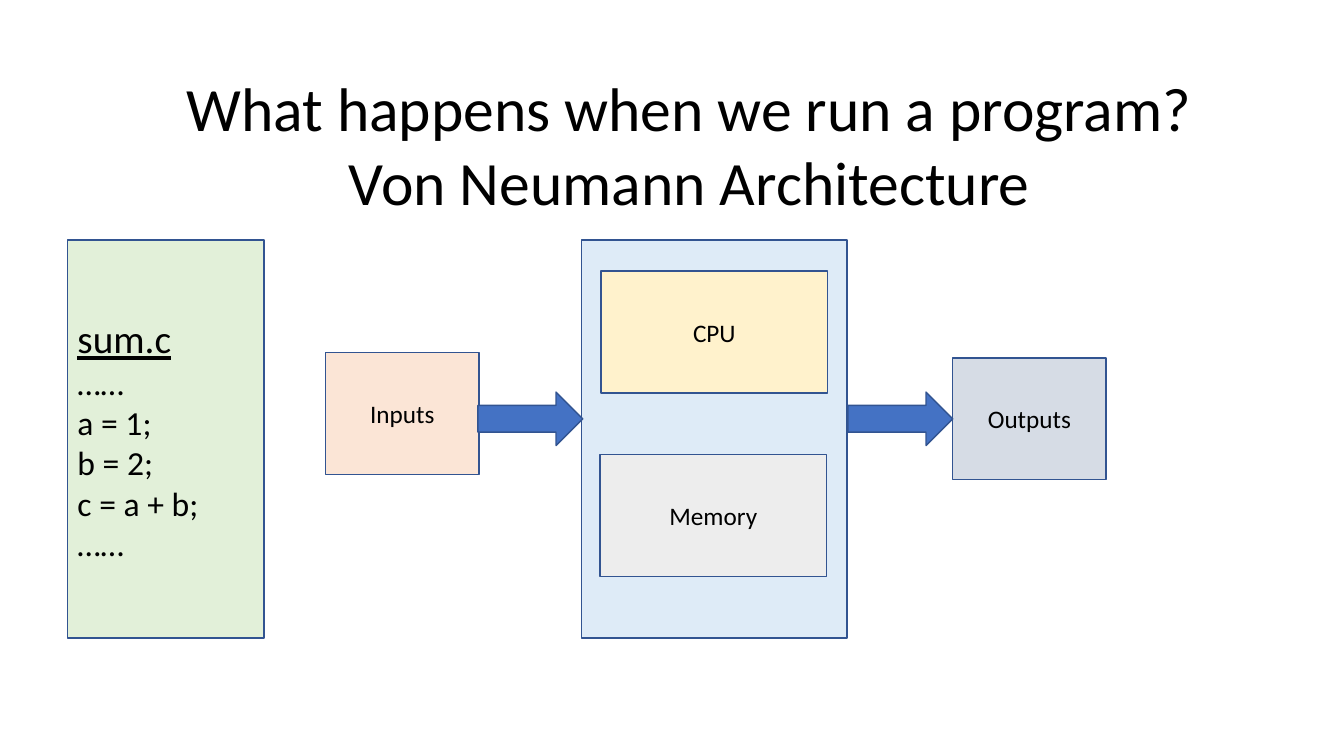
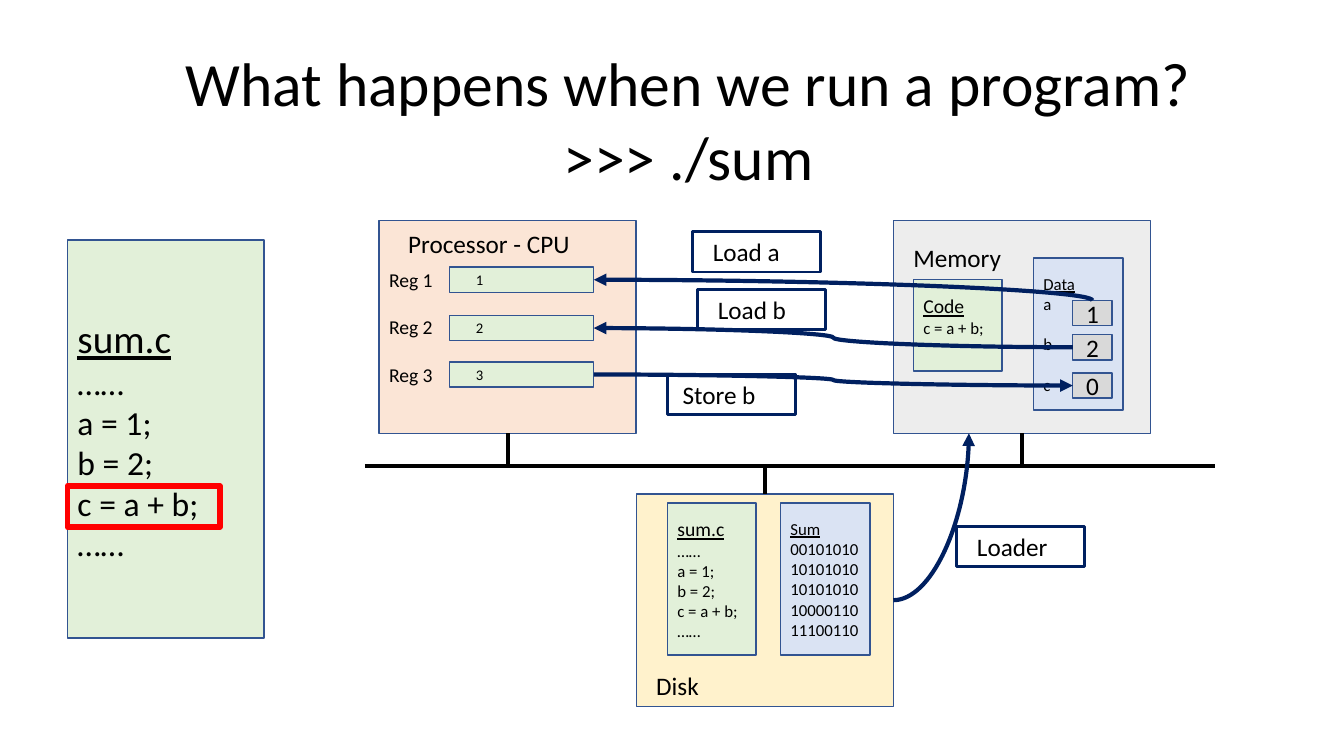
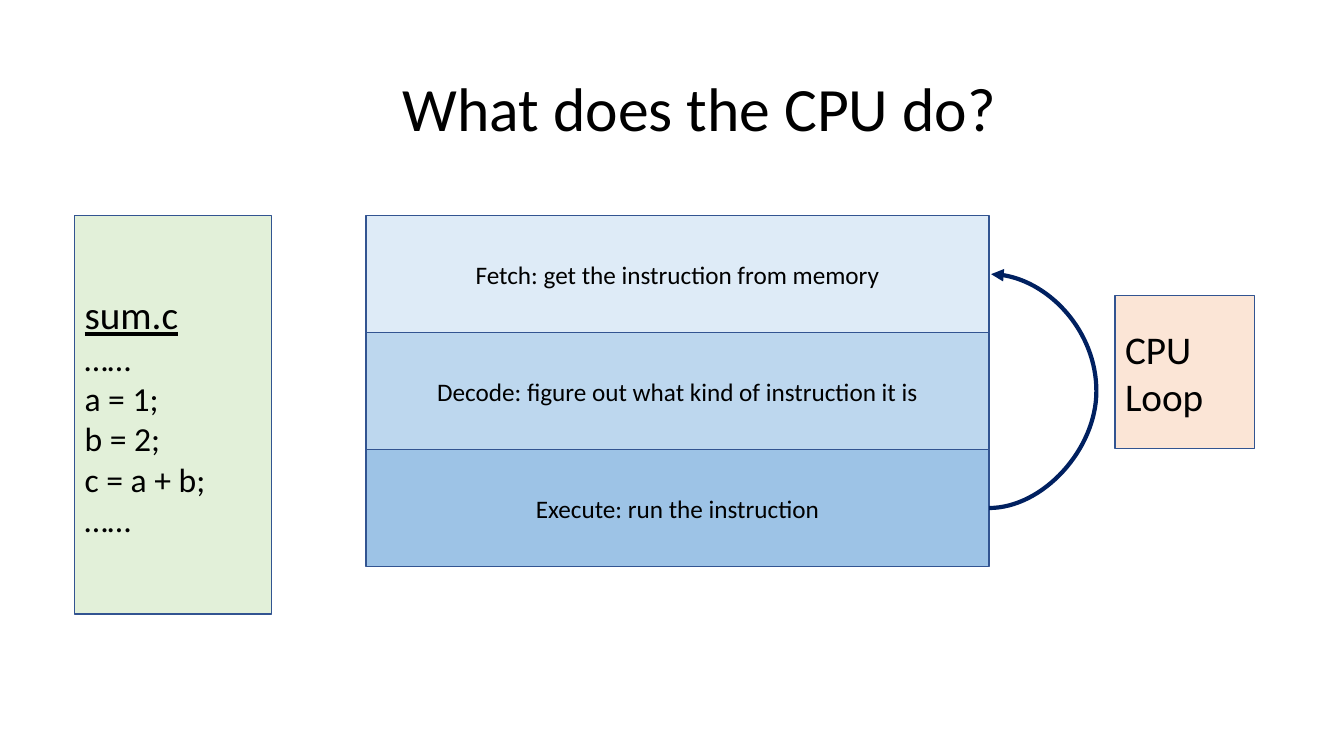
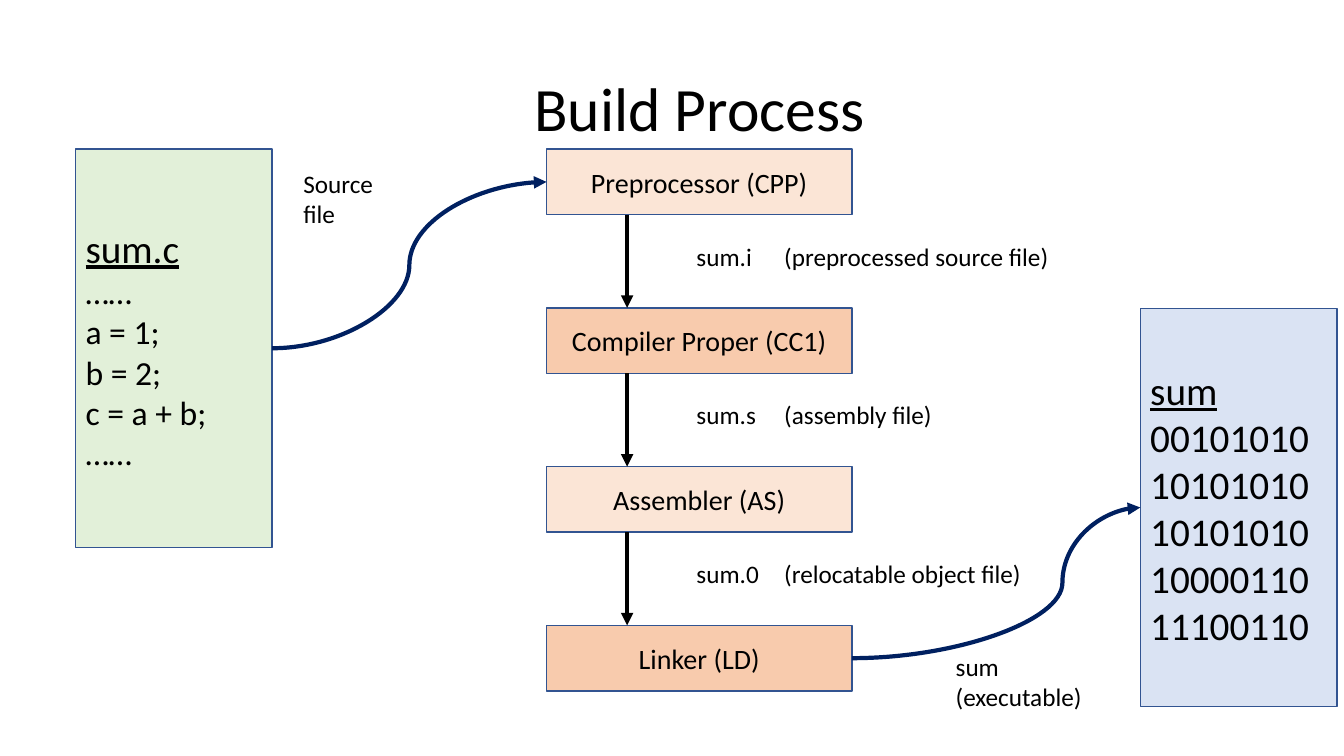
import pptx
import pptx.dml.color
import pptx.enum.shapes
import pptx.enum.text
import pptx.oxml.ns
import pptx.util
import lxml.etree

Inches = pptx.util.Inches
Pt = pptx.util.Pt
RGBColor = pptx.dml.color.RGBColor
ALIGN = pptx.enum.text.PP_ALIGN
ANCHOR = pptx.enum.text.MSO_ANCHOR
SHAPE = pptx.enum.shapes.MSO_SHAPE
CONNECTOR = pptx.enum.shapes.MSO_CONNECTOR

FONT = "Calibri"
BLACK = RGBColor(0x00, 0x00, 0x00)
BORDER = RGBColor(0x32, 0x54, 0x91)
NAVY = RGBColor(0x00, 0x20, 0x60)
RED = RGBColor(0xFF, 0x00, 0x00)
ARROW_BLUE = RGBColor(0x44, 0x72, 0xC4)
GREEN = RGBColor(0xE2, 0xF0, 0xD9)
PALE_BLUE = RGBColor(0xDE, 0xEB, 0xF7)
LIGHT_BLUE = RGBColor(0xBD, 0xD7, 0xEE)
MID_BLUE = RGBColor(0x9D, 0xC3, 0xE6)
LAVENDER = RGBColor(0xDA, 0xE3, 0xF3)
YELLOW = RGBColor(0xFF, 0xF2, 0xCC)
PALE_GREY = RGBColor(0xED, 0xED, 0xED)
GREY = RGBColor(0xD9, 0xD9, 0xD9)
BLUE_GREY = RGBColor(0xD6, 0xDC, 0xE5)
PEACH = RGBColor(0xFB, 0xE5, 0xD6)
ORANGE = RGBColor(0xF8, 0xCB, 0xAD)

TOP, LEFT, BOTTOM, RIGHT = range(4)

SOURCE = ["sum.c", "……", "a = 1;", "b = 2;", "c = a + b;", "……"]
BINARY = "0010101010101010101010101000011011100110"
FILE_WIDTH, FILE_HEIGHT = 1.95, 3.95

ARCHITECTURE = [
    ((5.77, 2.38, 2.63, 3.95), [], PALE_BLUE),
    ((5.96, 2.69, 2.25, 1.21), ["CPU"], YELLOW),
    ((5.95, 4.51, 2.25, 1.21), ["Memory"], PALE_GREY),
    ((3.23, 3.5, 1.52, 1.21), ["Inputs"], PEACH),
    ((9.45, 3.55, 1.52, 1.21), ["Outputs"], BLUE_GREY),
]
FLOW_ARROW_LEFTS = [4.74, 8.41]

UNIT_WIDTH, UNIT_HEIGHT = 2.55, 2.11
UNIT_NAMES = [
    ("Processor - CPU", 3.95, 2.22),
    ("Memory", 8.96, 2.36),
    ("Disk", 6.41, 6.6),
]
REGISTERS = [("1", 2.65), ("2", 3.13), ("3", 3.59)]
VARIABLES = [("1", 2.98), ("2", 3.32), ("0", 3.7)]
STEP_LABELS = [
    ("Load a", 6.87, 2.3, 0.2),
    ("Load b", 6.92, 2.87, 0.2),
    ("Loader", 9.49, 5.22, 0.2),
    ("Store b", 6.62, 3.71, 0.15),
]

CPU_STEPS = [
    ("Fetch: get the instruction from memory", PALE_BLUE),
    ("Decode: figure out what kind of instruction it is", LIGHT_BLUE),
    ("Execute: run the instruction", MID_BLUE),
]
STEP_TOP, STEP_HEIGHT = 2.14, 1.16

BUILD_STAGES = ["Preprocessor (CPP)", "Compiler Proper (CC1)", "Assembler (AS)", "Linker (LD)"]
STAGE_OUTPUTS = [
    "sum.i\t(preprocessed source file)",
    "sum.s\t(assembly file)",
    "sum.0\t(relocatable object file)",
]
STAGE_TOP, STAGE_PITCH, STAGE_HEIGHT = 1.48, 1.575, 0.65
OUTPUT_TAB = 0.87


def apply(target, values):
    for name, value in values.items():
        setattr(target, name, value)


def add_element(parent, tag, **attributes):
    element = lxml.etree.SubElement(parent, pptx.oxml.ns.qn(tag))
    for name, value in attributes.items():
        element.set(name, value)
    return element


def write_text(shape, lines, size=18, heading=None, align=ALIGN.LEFT, gap=0, **frame_format):
    frame = shape.text_frame
    apply(frame, {
        "word_wrap": True,
        "auto_size": pptx.enum.text.MSO_AUTO_SIZE.NONE,
        "vertical_anchor": ANCHOR.TOP,
        **frame_format,
    })
    for index, line in enumerate(lines):
        paragraph = frame.paragraphs[0] if index == 0 else frame.add_paragraph()
        paragraph.alignment = align
        if gap and index > (1 if heading else 0):
            paragraph.space_before = Pt(gap)
        run = paragraph.add_run()
        run.text = line
        is_heading = heading is not None and index == 0
        apply(run.font, {
            "name": FONT,
            "size": Pt(heading if is_heading else size),
            "underline": is_heading,
        })
        run.font.color.rgb = BLACK


def add_box(slide, frame, lines=(), fill=None, border=BORDER, border_width=1,
            kind=SHAPE.RECTANGLE, **text_format):
    shape = slide.shapes.add_shape(kind, *map(Inches, frame))
    shape.shadow.inherit = False
    if fill is None:
        shape.fill.background()
    else:
        shape.fill.solid()
        shape.fill.fore_color.rgb = fill
    shape.line.color.rgb = border
    shape.line.width = Pt(border_width)
    write_text(shape, lines, **{"vertical_anchor": ANCHOR.MIDDLE, **text_format})
    return shape


def add_label(slide, frame, lines, **text_format):
    shape = slide.shapes.add_textbox(*map(Inches, frame))
    write_text(shape, lines, **text_format)
    return shape


def add_source_file(slide, left, top):
    return add_box(slide, (left, top, FILE_WIDTH, FILE_HEIGHT), SOURCE, GREEN, size=24, heading=28)


def locate(anchor):
    if isinstance(anchor[0], (int, float)):
        return Inches(anchor[0]), Inches(anchor[1])
    shape, site = anchor
    return (shape.left + shape.width * (1, 0, 1, 2)[site] // 2,
            shape.top + shape.height * (0, 1, 2, 1)[site] // 2)


def connect(slide, start, end, kind=CONNECTOR.STRAIGHT, color=BLACK, arrow=None,
            preset=None, bend=None):
    connector = slide.shapes.add_connector(kind, *locate(start), *locate(end))
    for anchor, join in ((start, connector.begin_connect), (end, connector.end_connect)):
        if not isinstance(anchor[0], (int, float)):
            join(*anchor)
    connector.line.color.rgb = color
    connector.line.width = Pt(3)
    properties = connector._element.spPr
    if arrow:
        add_element(properties.find(pptx.oxml.ns.qn("a:ln")), arrow, type="triangle")
    add_element(properties, "a:effectLst")
    geometry = properties.find(pptx.oxml.ns.qn("a:prstGeom"))
    if preset:
        geometry.set("prst", preset)
    if bend is not None:
        adjustments = geometry.find(pptx.oxml.ns.qn("a:avLst"))
        add_element(adjustments, "a:gd", name="adj1", fmla=f"val {round(bend * 100000)}")
    return connector


def add_curve(slide, start, end, arrow="a:tailEnd", **curve_format):
    return connect(slide, start, end, CONNECTOR.CURVE, NAVY, arrow, **curve_format)


def add_titled_slide(presentation, frame, lines):
    slide = presentation.slides.add_slide(presentation.slide_layouts[5])
    title = slide.shapes.title
    apply(title, dict(zip(("left", "top", "width", "height"), map(Inches, frame))))
    write_text(title, lines, size=44, align=ALIGN.CENTER)
    return slide


def build_architecture(presentation):
    slide = add_titled_slide(presentation, (1.17, 0.64, 11.34, 1.58),
                             ["What happens when we run a program?", "Von Neumann Architecture"])
    add_source_file(slide, 0.67, 2.38)
    for frame, lines, fill in ARCHITECTURE:
        add_box(slide, frame, lines, fill, align=ALIGN.CENTER)
    for left in FLOW_ARROW_LEFTS:
        add_box(slide, (left, 3.89, 1.04, 0.53), fill=ARROW_BLUE, kind=SHAPE.RIGHT_ARROW)


def build_execution(presentation):
    slide = add_titled_slide(presentation, (1.16, 0.4, 11.34, 1.58),
                             ["What happens when we run a program?", ">>> ./sum"])
    add_source_file(slide, 0.67, 2.38)
    processor = add_box(slide, (3.76, 2.19, UNIT_WIDTH, UNIT_HEIGHT),
                        ["Reg 1", "Reg 2", "Reg 3"], PEACH, size=14, gap=17)
    memory = add_box(slide, (8.86, 2.19, UNIT_WIDTH, UNIT_HEIGHT), fill=PALE_GREY)
    disk = add_box(slide, (6.31, 4.9, UNIT_WIDTH, UNIT_HEIGHT), fill=YELLOW)
    for name, left, top in UNIT_NAMES:
        add_label(slide, (left, top, 2.17, 0.4), [name])

    add_box(slide, (6.62, 4.99, 0.88, 1.51), SOURCE, GREEN, size=12, heading=14)
    add_box(slide, (7.74, 4.99, 0.89, 1.51), ["Sum", BINARY], LAVENDER, size=12, heading=12)
    add_box(slide, (9.06, 2.77, 0.88, 0.91), ["Code", "c = a + b;"], GREEN,
            size=12, heading=14, margin_bottom=Inches(0.23))
    add_box(slide, (10.25, 2.56, 0.89, 1.51), ["Data", "a", "b", "c"], LAVENDER,
            size=12, heading=12, gap=14.65)
    variables = [add_box(slide, (10.64, top, 0.39, 0.25), [value], GREY, align=ALIGN.CENTER)
                 for value, top in VARIABLES]
    registers = [add_box(slide, (4.46, top, 1.43, 0.25), [value], GREEN, size=10.5,
                         margin_left=Inches(0.26))
                 for value, top in REGISTERS]

    bus_top = 4.62
    connect(slide, (3.62, bus_top), (12.05, bus_top))
    for unit, side, x in ((processor, BOTTOM, 5.035), (memory, BOTTOM, 10.135), (disk, TOP, 7.585)):
        connect(slide, (unit, side), (x, bus_top))

    add_curve(slide, (disk, RIGHT), (9.61, 4.3), preset="curvedConnector2")
    add_curve(slide, (registers[0], RIGHT), (variables[0], TOP), "a:headEnd",
              preset="curvedConnector2")
    add_curve(slide, (variables[1], LEFT), (registers[1], RIGHT), bend=0.5)
    add_curve(slide, (registers[2], RIGHT), (variables[2], LEFT), bend=0.5)

    for text, left, top, margin in STEP_LABELS:
        add_box(slide, (left, top, 1.27, 0.4), [text], border=NAVY, border_width=2,
                vertical_anchor=ANCHOR.TOP, margin_left=Inches(margin))
    add_box(slide, (0.67, 4.82, 1.51, 0.41), border=RED, border_width=4)


def build_cpu_loop(presentation):
    slide = add_titled_slide(presentation, (2.07, 0.64, 9.74, 0.84), ["What does the CPU do?"])
    steps = [add_box(slide, (3.63, STEP_TOP + index * STEP_HEIGHT, 6.18, STEP_HEIGHT),
                     [text], fill, align=ALIGN.CENTER)
             for index, (text, fill) in enumerate(CPU_STEPS)]
    add_source_file(slide, 0.74, STEP_TOP)
    add_curve(slide, (steps[-1], RIGHT), (9.83, STEP_TOP + STEP_HEIGHT / 2), bend=53)
    add_box(slide, (11.06, 2.93, 1.38, 1.52), ["CPU Loop"], PEACH, size=28)


def build_process(presentation):
    slide = add_titled_slide(presentation, (2.07, 0.64, 9.74, 0.84), ["Build Process"])
    stages = [add_box(slide, (5.42, STAGE_TOP + index * STAGE_PITCH, 3.03, STAGE_HEIGHT),
                      [text], (PEACH, ORANGE)[index % 2], size=20, align=ALIGN.CENTER)
              for index, text in enumerate(BUILD_STAGES)]
    source = add_source_file(slide, 0.75, STAGE_TOP)
    program = add_box(slide, (11.31, 3.06, FILE_WIDTH, FILE_HEIGHT), ["sum", BINARY],
                      LAVENDER, size=28, heading=28)
    for index, text in enumerate(STAGE_OUTPUTS):
        stage_top = STAGE_TOP + index * STAGE_PITCH
        connect(slide, (6.22, stage_top + STAGE_HEIGHT), (6.22, stage_top + STAGE_PITCH),
                arrow="a:tailEnd")
        label = add_label(slide, (6.81, stage_top + 0.86, 3.8, 0.4), [text])
        properties = label.text_frame.paragraphs[0]._p.get_or_add_pPr()
        tabs = add_element(properties, "a:tabLst")
        add_element(tabs, "a:tab", pos=str(Inches(OUTPUT_TAB)), algn="l")
    add_curve(slide, (source, RIGHT), (stages[0], LEFT), bend=0.5)
    add_curve(slide, (stages[-1], RIGHT), (program, LEFT), bend=0.73)
    add_label(slide, (2.91, 1.62, 0.95, 0.71), ["Source", "file"])
    add_label(slide, (9.38, 6.41, 1.55, 0.71), ["sum", "(executable)"])


def main():
    presentation = pptx.Presentation()
    apply(presentation, {"slide_width": Inches(13.33), "slide_height": Inches(7.5)})
    for build in (build_architecture, build_execution, build_cpu_loop, build_process):
        build(presentation)
    presentation.save("out.pptx")


if __name__ == "__main__":
    main()
